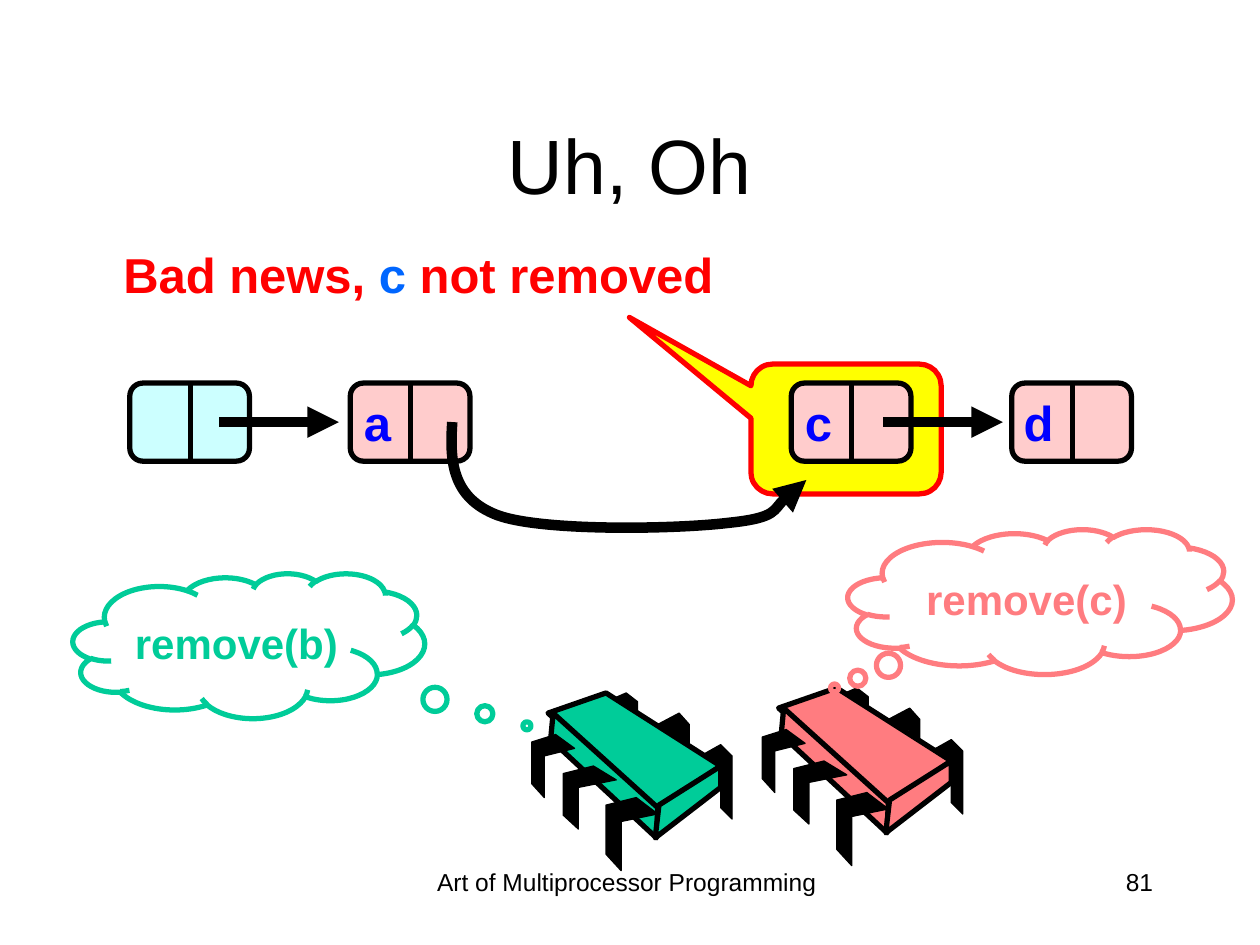
from lxml import etree
from pptx import Presentation
from pptx.dml import color as dml
from pptx.enum import shapes as kinds, text as txt
from pptx.oxml import ns
from pptx.util import Inches, Pt

BLACK, RED, BLUE, GREEN, SALMON = "000000", "FF0000", "0000FF", "00CC99", "FF7C80"
HEAD_FILL, NODE_FILL = "CCFFFF", "FFCCCC"

# Chip parts as (x, y) inches from the top left corner of the chip.
REAR_PINS = [
    [(1.34, .5), (1.5, .41), (1.59, .5), (1.59, 1), (1.5, .91), (1.5, .58), (1.34, .66)],
    [(1, .25), (1.17, .16), (1.25, .25), (1.25, .75), (1.17, .66), (1.17, .33), (1, .41)],
    [(.59, .07), (.75, 0), (.84, .07), (.84, .5), (.75, .43), (.75, .14), (.59, .21)],
]
BODY_FACES = [
    [(.59, 0), (1.5, .58), (.99, .93), (.13, .16)],
    [(.17, .16), (1, .91), (.99, 1.15), (.15, .37)],
    [(1.5, .58), (1.5, .75), (.98, 1.15), (1.01, .89)],
]
FRONT_PINS = [
    [(.83, .83), (1, .96), (.71, 1.02), (.71, 1.41), (.59, 1.28), (.59, .89)],
    [(.49, .58), (.67, .69), (.37, .75), (.37, 1.08), (.25, .97), (.25, .64)],
    [(.19, .33), (.34, .44), (.1, .5), (.1, .83), (0, .72), (0, .39)],
]


def rgb(value):
    return dml.RGBColor.from_string(value)


def paint(shape, fill, line, width):
    shape.shadow.inherit = False
    if fill:
        shape.fill.solid()
        shape.fill.fore_color.rgb = rgb(fill)
    else:
        shape.fill.background()
    shape.line.color.rgb = rgb(line)
    shape.line.width = Pt(width)


def write(shape, runs, size, align, bold=False, anchor=txt.MSO_ANCHOR.TOP, wrap=True):
    """Fill the shape with one paragraph of (text, colour) runs."""
    frame = shape.text_frame
    frame.word_wrap = wrap
    frame.vertical_anchor = anchor
    paragraph = frame.paragraphs[0]
    paragraph.alignment = align
    for words, colour in runs:
        run = paragraph.add_run()
        run.text = words
        run.font.name = "Arial"
        run.font.size = Pt(size)
        run.font.bold = bold
        run.font.color.rgb = rgb(colour)


def add_text(parent, box, runs, size, align, **style):
    write(parent.add_textbox(*map(Inches, box)), runs, size, align, **style)


def add_preset(parent, kind, box, adjustments, fill, line):
    shape = parent.add_shape(kind, *map(Inches, box))
    for index, value in enumerate(adjustments):
        shape.adjustments[index] = value
    paint(shape, fill, line, 3)
    return shape


def add_arrowhead(shape):
    outline = shape._element.spPr.find(ns.qn("a:ln"))
    etree.SubElement(outline, ns.qn("a:tailEnd"), type="triangle")


def add_line(parent, start, end, width):
    line = parent.add_connector(kinds.MSO_CONNECTOR.STRAIGHT, *map(Inches, start + end))
    line.line.color.rgb = rgb(BLACK)
    line.line.width = Pt(width)
    etree.SubElement(line._element.spPr, ns.qn("a:effectLst"))
    return line


def add_outline(parent, left, top, points, close=True):
    """Join points, given in inches from the corner (left, top)."""
    start, *rest = [(Inches(left + x), Inches(top + y)) for x, y in points]
    builder = parent.build_freeform(*start)
    builder.add_line_segments(rest, close=close)
    return builder.convert_to_shape()


def add_node(slide, left, top, fill, label="", label_left=0.01, label_width=0.41):
    node = slide.shapes.add_group_shape().shapes
    add_preset(node, kinds.MSO_SHAPE.ROUNDED_RECTANGLE, (left, top, 0.95, 0.62),
               [0.167], fill, BLACK)
    divider = left + 0.48
    add_line(node, (divider, top), (divider, top + 0.62), 3)
    if label:
        add_text(node, (left + label_left, top + 0.03, label_width, 0.57),
                 [(label, BLUE)], 28, txt.PP_ALIGN.RIGHT, bold=True, wrap=False)


def add_next_arrow(slide, left, top):
    add_arrowhead(add_line(slide.shapes, (left, top), (left + 0.95, top), 6))


def add_bypass_arrow(slide, left, top):
    """Draw the curved pointer that skips the removed node."""
    points = [(.02, 0), (0, .3), (.01, .6), (.38, .74), (.74, .87), (1.8, .85),
              (2.21, .8), (2.61, .76), (2.7, .53), (2.83, .46)]
    arrow = add_outline(slide.shapes, left, top, points, close=False)
    paint(arrow, None, BLACK, 6)
    add_arrowhead(arrow)
    # Each three straight segments become one cubic curve.
    segments = list(arrow._element.spPr.iter(ns.qn("a:lnTo")))
    for first, second, third in zip(*[iter(segments)] * 3):
        first.tag = ns.qn("a:cubicBezTo")
        for segment in (second, third):
            first.append(segment[0])
            segment.getparent().remove(segment)


def add_chip(slide, left, top, colour):
    chip = slide.shapes.add_group_shape().shapes
    for outlines, fill, width in ((REAR_PINS, BLACK, 0.75), (BODY_FACES, colour, 3),
                                  (FRONT_PINS, BLACK, 0.75)):
        for points in outlines:
            paint(add_outline(chip, left, top, points), fill, BLACK, width)


def add_thought(slide, box, tail, call, colour):
    cloud = add_preset(slide.shapes, kinds.MSO_SHAPE.CLOUD_CALLOUT, box, tail, None, colour)
    write(cloud, [(call, colour)], 24, txt.PP_ALIGN.CENTER, bold=True,
          anchor=txt.MSO_ANCHOR.MIDDLE)


def add_footer(slide, top):
    add_text(slide.shapes, (3.1, top, 3.75, 0.5),
             [("Art of Multiprocessor Programming", BLACK)], 14, txt.PP_ALIGN.CENTER)
    add_text(slide.shapes, (7.17, top, 2.08, 0.5), [("81", BLACK)], 14, txt.PP_ALIGN.RIGHT)


def add_heading(slide):
    add_text(slide.shapes, (0.75, 0.67, 8.5, 1.25), [("Uh, Oh", BLACK)], 44,
             txt.PP_ALIGN.CENTER, anchor=txt.MSO_ANCHOR.MIDDLE)
    add_text(slide.shapes, (0.88, 1.89, 4.88, 0.57),
             [("Bad news, ", RED), ("c", "0066FF"), (" not removed", RED)], 28,
             txt.PP_ALIGN.RIGHT, bold=True, wrap=False)


def add_list(slide, top):
    add_preset(slide.shapes, kinds.MSO_SHAPE.ROUNDED_RECTANGULAR_CALLOUT,
               (5.96, top - 0.15, 1.51, 1.03), [-1.139, -0.86, 0.167], "FFFF00", RED)
    add_node(slide, 1.03, top, HEAD_FILL)
    add_node(slide, 2.78, top, NODE_FILL, "a")
    add_node(slide, 6.28, top, NODE_FILL, "c")
    add_node(slide, 8.03, top, NODE_FILL, "d", -0.01, 0.44)
    for left in (1.74, 7.01):
        add_next_arrow(slide, left, top + 0.31)
    add_bypass_arrow(slide, 3.57, top + 0.31)


def main():
    deck = Presentation()
    deck.slide_width, deck.slide_height = Inches(10), Inches(7.5)
    slide = deck.slides.add_slide(deck.slide_layouts[6])
    add_footer(slide, 6.83)
    add_heading(slide)
    add_list(slide, 3.04)
    add_chip(slide, 4.22, 5.5, GREEN)
    add_chip(slide, 6.05, 5.46, SALMON)
    add_thought(slide, (0.58, 4.55, 2.79, 1.15), [0.791, 0.553], "remove(b)", GREEN)
    add_thought(slide, (6.73, 4.2, 3.05, 1.15), [-0.535, 0.596], "remove(c)", SALMON)
    deck.save("out.pptx")


if __name__ == "__main__":
    main()
